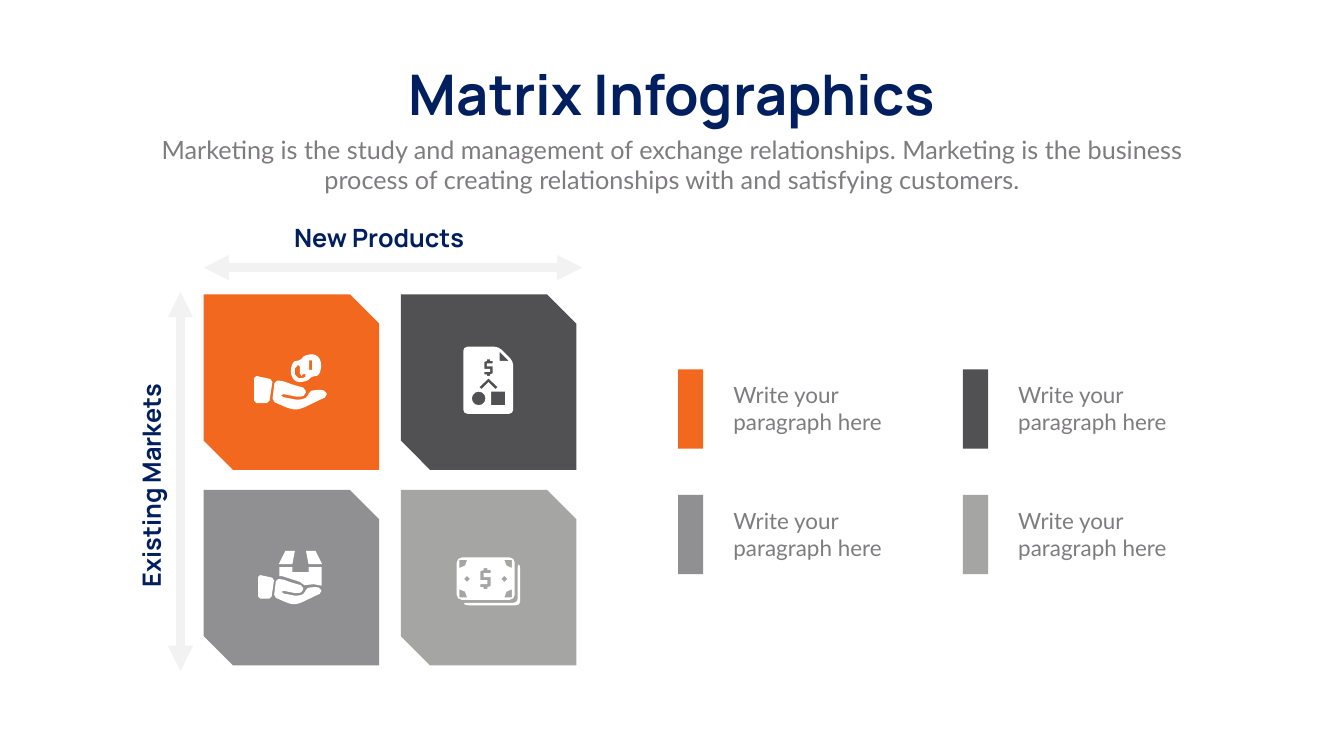
from dataclasses import dataclass
from itertools import product
from math import dist

from lxml import etree
from pptx import Presentation
from pptx.dml.color import RGBColor
from pptx.enum.shapes import MSO_CONNECTOR, MSO_SHAPE
from pptx.enum.text import MSO_AUTO_SIZE, PP_ALIGN
from pptx.oxml.ns import qn
from pptx.util import Pt

SNIPPED = MSO_SHAPE.SNIP_2_DIAG_RECTANGLE
RECTANGLE = MSO_SHAPE.RECTANGLE
STRAIGHT = MSO_CONNECTOR.STRAIGHT
CENTER, LEFT = PP_ALIGN.CENTER, PP_ALIGN.LEFT
FIT_TEXT = MSO_AUTO_SIZE.SHAPE_TO_FIT_TEXT

COLORS = {"navy": "011F5E", "text": "7E7C7F", "arrow": "F2F2F2", "icon": "FFFFFF",
          "orange": "F3681F", "charcoal": "515052", "gray": "908F91", "silver": "A5A6A4"}
FORMATS = {
    "title": {"name": "Manrope", "size": Pt(80), "bold": True},
    "axis": {"name": "Manrope", "size": Pt(36), "bold": True},
    "intro": {"name": "Lato", "size": Pt(36)},
    "legend": {"name": "Lato", "size": Pt(32)},
}
ICON_UNIT = Pt(0.72)
RADIUS_PER_STEP = 4
ROUNDING = 0.55


@dataclass(frozen=True)
class Label:
    text: str
    left: float
    top: float
    width: float
    height: float
    style: str
    color: str = "navy"
    align: PP_ALIGN = CENTER
    wrap: bool = False
    rotation: float = 0


@dataclass(frozen=True)
class Contour:
    radius: float
    points: list

    def placed(self, x: float, y: float, scale: float = 1) -> "Contour":
        """Return the contour scaled and moved."""
        moved = [(x + scale * px, y + scale * py) for px, py in self.points]
        return Contour(self.radius * scale, moved)


@dataclass(frozen=True)
class Quadrant:
    column: int
    row: int
    color: str
    glyphs: list


def box(x: float, y: float, width: float, height: float, radius: float) -> Contour:
    """Return a rounded rectangle, or a circle for a large radius."""
    return Contour(radius, [(x, y), (x + width, y), (x + width, y + height), (x, y + height)])


CUFF = Contour(5, [(100, 161), (137, 169), (130, 216), (100, 216)])
PALM = Contour(5, [
    (227, 189), (209, 192), (207, 204), (189, 210), (153, 203), (154, 197), (189, 204),
    (203, 200), (202, 186), (179, 180), (154, 171), (141, 171), (136, 212),
    (168, 226), (182, 229), (196, 226), (233, 208), (245, 203), (243, 191)])
COINS = [
    Contour(21, [(173, 174), (206, 174), (213, 162), (233, 162),
                 (233, 119), (199, 119), (193, 132), (173, 132)]),
    box(209, 131, 6, 19, 3),
    Contour(5, [(191, 138), (191, 162), (197, 162), (197, 155), (206, 161),
                (194, 168), (183, 164), (179, 153), (183, 142)])]
DOLLAR = Contour(3, [
    (0, 19), (0, 5), (5, 3), (5, 0), (11, 0), (11, 3), (16, 3), (16, 8), (5, 8), (5, 14),
    (16, 14), (16, 28), (11, 30), (11, 33), (5, 33), (5, 30), (0, 30), (0, 25), (11, 25),
    (11, 19)])
PLAN = [
    Contour(8, [(124, 104), (194, 104), (223, 133), (223, 237), (124, 237)]),
    DOLLAR.placed(166, 129),
    box(141, 193, 27, 27, 14),
    box(179, 193, 28, 27, 2),
    Contour(2, [(160, 188), (156, 184), (174, 167), (192, 184), (188, 188), (174, 174)]),
    Contour(2, [(196, 114), (214, 132), (196, 132)])]
FLAP = [(149, 147), (176, 147), (181, 121), (162, 121)]
FLAPS = [Contour(2, FLAP), Contour(2, [(384 - x, y) for x, y in FLAP])]
PARCEL = Contour(3, [
    (234, 153), (208, 153), (208, 163), (176, 163), (176, 153), (150, 153), (150, 171),
    (156, 171), (168, 175), (190, 182), (200, 189), (218, 187), (234, 190)])
NOTE_CORNER = [(-52, -37), (-37, -37), (-41, -26), (-52, -21)]
BANKNOTE = [
    box(111, 134, 115, 84, 10), DOLLAR.placed(158, 155, 1.27),
    box(126, 171, 11, 11, 5), box(200, 171, 11, 11, 5),
    *[Contour(2, [(168.5 + side * x, 176 + end * y) for x, y in NOTE_CORNER])
      for side, end in product((1, -1), repeat=2)]]
NOTE_BEHIND = Contour(8, [(232, 146), (232, 224), (123, 224),
                          (128, 229), (237, 229), (237, 150)])

QUADRANTS = [
    Quadrant(0, 0, "orange", [COINS, [CUFF], [PALM]]),
    Quadrant(1, 0, "charcoal", [PLAN]),
    Quadrant(0, 1, "gray", [[CUFF.placed(21, 28, 0.87)], [PALM.placed(21, 28, 0.87)],
                            [*FLAPS, PARCEL]]),
    Quadrant(1, 1, "silver", [BANKNOTE, [NOTE_BEHIND]]),
]
LABELS = [
    Label("Matrix Infographics", 545, 82, 830.2, 104.4, "title"),
    Label("Marketing is the study and management of exchange relationships. Marketing is the "
          "business process of creating relationships with and satisfying customers.",
          210.2, 188, 1499, 94.3, "intro", "text", wrap=True),
    Label("New Products", 407.5, 314.6, 267.8, 51.1, "axis"),
    Label("Existing Markets", 58.3, 668.2, 314.6, 51.1, "axis", rotation=270),
]
ARROWS = [(831.6, 382.3, 290.9, 382.3), (257.8, 958.3, 257.8, 416.9)]


def rgb(color: str) -> RGBColor:
    """Look up a named colour."""
    return RGBColor.from_string(COLORS[color])


def paint(shape, color: str) -> None:
    """Give a shape a flat fill."""
    shape.shadow.inherit = False
    shape.fill.solid()
    shape.fill.fore_color.rgb = rgb(color)
    shape.line.fill.background()


def add_block(slide, kind, left: float, top: float, width: float, height: float,
              color: str) -> None:
    """Draw a flat preset shape."""
    paint(slide.shapes.add_shape(kind, Pt(left), Pt(top), Pt(width), Pt(height)), color)


def add_label(slide, label: Label) -> None:
    """Draw a text box."""
    shape = slide.shapes.add_textbox(Pt(label.left), Pt(label.top),
                                     Pt(label.width), Pt(label.height))
    shape.rotation = label.rotation
    shape.text_frame.word_wrap = label.wrap
    shape.text_frame.auto_size = FIT_TEXT
    paragraph = shape.text_frame.paragraphs[0]
    paragraph.alignment = label.align
    run = paragraph.add_run()
    run.text = label.text
    for attribute, value in FORMATS[label.style].items():
        setattr(run.font, attribute, value)
    run.font.color.rgb = rgb(label.color)


def add_arrow(slide, ends: tuple) -> None:
    """Draw a double-headed arrow."""
    connector = slide.shapes.add_connector(STRAIGHT, *map(Pt, ends))
    connector.line.color.rgb = rgb("arrow")
    connector.line.width = Pt(12)
    line = connector.line._get_or_add_ln()
    for end in ("a:headEnd", "a:tailEnd"):
        etree.SubElement(line, qn(end), type="triangle")
    etree.SubElement(connector._element.spPr, qn("a:effectLst"))


def toward(start: tuple, end: tuple, share: float) -> tuple:
    """Return the point a given share of the way along."""
    return tuple(a + share * (b - a) for a, b in zip(start, end))


def outline(contour: Contour) -> list:
    """Flatten a polygon into vertices, leaving the smallest corners sharp."""
    points, vertices = contour.points, []
    steps = int(contour.radius // RADIUS_PER_STEP)
    for index, corner in enumerate(points):
        if not steps:
            vertices.append(corner)
            continue
        first, last = (toward(corner, other, min(0.5, contour.radius / dist(corner, other)))
                       for other in (points[index - 1], points[(index + 1) % len(points)]))
        curve = first, toward(first, corner, ROUNDING), toward(last, corner, ROUNDING), last
        for step in range(steps + 1):
            t = step / steps
            weights = (1 - t) ** 3, 3 * t * (1 - t) ** 2, 3 * t * t * (1 - t), t ** 3
            vertices.append(tuple(sum(weight * point[axis] for weight, point
                                      in zip(weights, curve)) for axis in (0, 1)))
    return [(ICON_UNIT * x, ICON_UNIT * y) for x, y in vertices]


def add_glyph(slide, contours: list, left: float, top: float) -> None:
    """Draw one icon part, with its holes."""
    first, *others = map(outline, contours)
    builder = slide.shapes.build_freeform(*first[0])
    builder.add_line_segments(first[1:], close=True)
    for vertices in others:
        builder.move_to(*vertices[0])
        builder.add_line_segments(vertices[1:], close=True)
    paint(builder.convert_to_shape(Pt(left), Pt(top)), "icon")


def add_quadrant(slide, quadrant: Quadrant) -> None:
    """Draw a matrix tile, its icon and its legend entry."""
    left, top = 290.9 + 281.5 * quadrant.column, 420.5 + 279.4 * quadrant.row
    add_block(slide, SNIPPED, left, top, 250.6, 250.6, quadrant.color)
    for glyph in quadrant.glyphs:
        add_glyph(slide, glyph, left, top)
    left, top = 968.4 + 406.8 * quadrant.column, 527.8 + 179.3 * quadrant.row
    add_block(slide, RECTANGLE, left, top, 36, 113, quadrant.color)
    add_label(slide, Label("Write your paragraph here", left + 72, top + 13.7, 262.1, 85,
                           "legend", "text", LEFT, True))


def main() -> None:
    """Build and save the slide."""
    presentation = Presentation()
    presentation.slide_width, presentation.slide_height = Pt(1919.5), Pt(1080)
    slide = presentation.slides.add_slide(presentation.slide_layouts[6])
    for label in LABELS:
        add_label(slide, label)
    for ends in ARROWS:
        add_arrow(slide, ends)
    for quadrant in QUADRANTS:
        add_quadrant(slide, quadrant)
    presentation.save("out.pptx")


if __name__ == "__main__":
    main()
